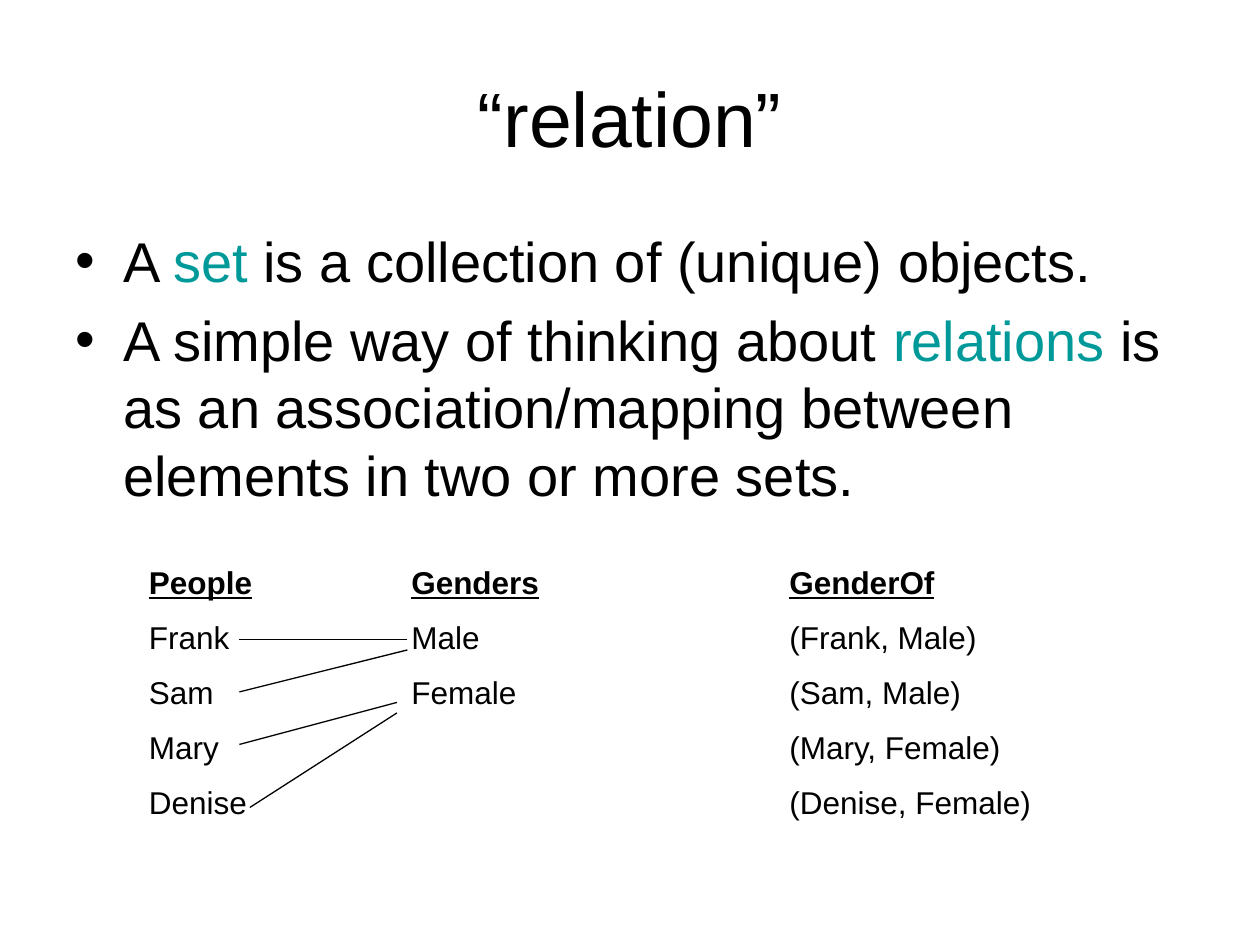
from lxml import etree
from pptx import Presentation
from pptx.dml.color import RGBColor
from pptx.enum.shapes import MSO_CONNECTOR
from pptx.enum.text import MSO_ANCHOR, PP_ALIGN
from pptx.oxml.ns import qn
from pptx.util import Inches, Pt

LINE = MSO_CONNECTOR.STRAIGHT
MID, TOP = MSO_ANCHOR.MIDDLE, MSO_ANCHOR.TOP
LEFT, MID_TEXT = PP_ALIGN.LEFT, PP_ALIGN.CENTER
BLACK, TEAL = "000000", "009999"


def color(code):
    """Turn a hex string into a colour."""
    return RGBColor.from_string(code)


def grid(cells):
    """Turn grid cells, twelve to the inch, into a length."""
    return Inches(cells / 12)


class Page:
    """Holds the style and the current slide."""
    font = "Arial"

    def __init__(self, deck):
        """Add a blank slide."""
        self.slide = deck.slides.add_slide(deck.slide_layouts[6])
        self.shapes = self.slide.shapes

    def frame(self, col, row, wide, high, anchor=TOP):
        """Add an empty wrapping text box and return its frame."""
        cells = (col, row, wide, high)
        frame = self.shapes.add_textbox(*map(grid, cells)).text_frame
        frame.word_wrap = True
        frame.vertical_anchor = anchor
        return frame

    def lines(self, frame, items, size, gap=0, align=LEFT):
        """Fill a frame with paragraphs, each a list of (text, colour)."""
        for i, parts in enumerate(items):
            para = frame.paragraphs[0] if i == 0 else frame.add_paragraph()
            para.alignment = align
            para.space_before = Pt(gap if i else 0)
            for text, code in parts:
                run = para.add_run()
                run.text = text
                run.font.name = self.font
                run.font.size = Pt(size)
                run.font.color.rgb = color(code)

    def title(self, text):
        """Add the centred heading."""
        frame = self.frame(6, 3.6, 108, 15, MID)
        self.lines(frame, [[(text, BLACK)]], 44, align=MID_TEXT)

    def bullets(self, items):
        """Add the bulleted body text."""
        frame = self.frame(6, 21, 108, 29)
        self.lines(frame, items, 32, gap=6.8)
        for para in frame.paragraphs:
            props = para._p.get_or_add_pPr()
            props.set("marL", str(Inches(0.38)))
            props.set("indent", str(-Inches(0.38)))
            etree.SubElement(props, qn("a:buFont")).set("typeface", self.font)
            etree.SubElement(props, qn("a:buChar")).set("char", "•")

    def column(self, col, wide, words):
        """Add a list under a bold, underlined heading."""
        frame = self.frame(col, 53, wide, 1.2 + 5.1 * len(words))
        self.lines(frame, [[(word, BLACK)] for word in words], 18, gap=9.9)
        head = frame.paragraphs[0].runs[0].font
        head.bold = head.underline = True

    def link(self, *ends):
        """Add a thin line given as start and end cells."""
        line = self.shapes.add_connector(LINE, *map(grid, ends))
        line.line.color.rgb = color(BLACK)
        line.line.width = Pt(0.75)
        etree.SubElement(line._element.spPr, qn("a:effectLst"))


deck = Presentation()
deck.slide_width, deck.slide_height = Inches(10), Inches(7.5)
page = Page(deck)

page.title("“relation”")
page.bullets([
    [("A ", BLACK), ("set", TEAL),
     (" is a collection of (unique) objects.", BLACK)],
    [("A simple way of thinking about ", BLACK), ("relations", TEAL),
     (" is as an association/mapping between elements in two or more sets.",
      BLACK)],
])

pairs = [("Frank", "Male"), ("Sam", "Male"),
         ("Mary", "Female"), ("Denise", "Female")]
page.column(13, 14, ["People"] + [name for name, _ in pairs])
page.column(38, 17, ["Genders", "Male", "Female"])
page.column(74, 26, ["GenderOf"] + [f"({a}, {b})" for a, b in pairs])

for ends in [(22.8, 60.9, 38.8, 60.9), (22.8, 65.9, 38.8, 61.9),
             (22.8, 70.9, 37.8, 66.9), (23.8, 76.9, 37.8, 67.9)]:
    page.link(*ends)

deck.save("out.pptx")
